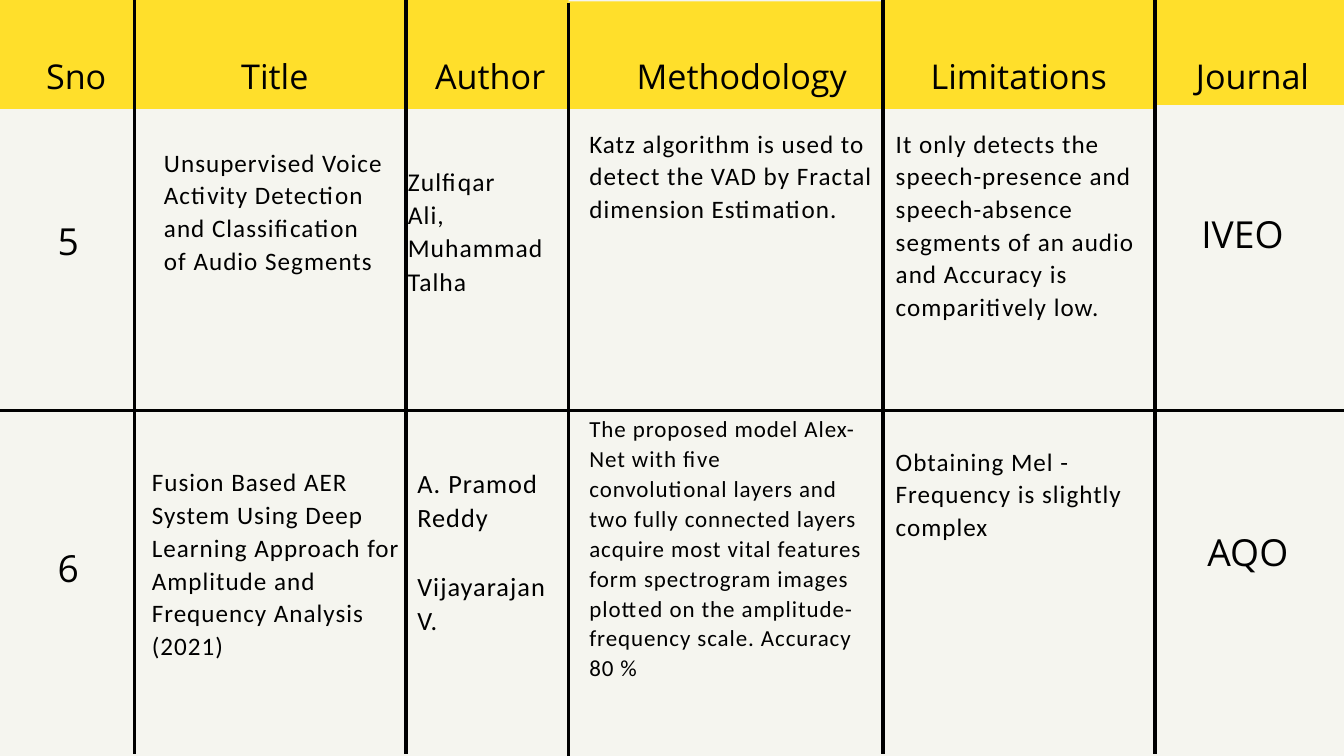
import dataclasses

import pptx
import pptx.dml.color
import pptx.enum.shapes
import pptx.enum.text
import pptx.oxml
import pptx.oxml.ns
import pptx.util

COLOURS = {"paper": "F5F5EF", "band": "FFDF2B", "ink": "000000"}
WIDTH, HEIGHT = 20, 11.25

# Grid of the literature table, in inches
COLUMN_EDGES = [0, 2, 6.04, 8.46, 13.14, 17.19, WIDTH]
SNO, TITLE, AUTHOR, METHODOLOGY, LIMITATIONS, JOURNAL = range(6)
HEADER_BOTTOM, ROW_RULE = 1.62, 6.11
ROW_TOPS = [0, HEADER_BOTTOM, ROW_RULE]
HEADER, FIRST, SECOND = range(3)


@dataclasses.dataclass(frozen=True)
class Style:
    font: str
    size: float
    line_spacing: float
    centred: bool = False
    tracking: float = 0


@dataclasses.dataclass(frozen=True)
class Entry:
    """A text with its inset from the top left corner of a grid cell."""
    column: int
    row: int
    inset_x: float
    inset_y: float
    width: float
    height: float
    style: Style
    text: str
    paragraph_gap: float = 0


HEADING = Style("Open Sans", 36.6, 51.2, centred=True)
LABEL = Style("Open Sans", 39.9, 55.9, centred=True)
BODY = Style("Calibri", 26.9, 35, tracking=1.1)
SMALL_BODY = Style("Calibri", 24.6, 32, tracking=1)
FIRST_AUTHORS = Style("Calibri", 27.4, 35.6, tracking=1.1)
SECOND_AUTHORS = Style("Calibri", 28.2, 36.7, tracking=1.1)

HEADINGS = [  # text, inset from the column's left edge, width
    ("Sno", 0.65, 0.97), ("Title", 1.4, 1.38), ("Author", 0.28, 1.95),
    ("Methodology", 0.81, 3.54), ("Limitations", 0.51, 3.02), ("Journal", 0.5, 1.9),
]

ENTRIES = [
    Entry(column, HEADER, inset, 0.72, width, 0.68, HEADING, text)
    for column, (text, inset, width) in enumerate(HEADINGS)
] + [
    # Paper 5
    Entry(SNO, FIRST, 0.65, 1.52, 0.73, 0.75, LABEL, "5"),
    Entry(TITLE, FIRST, 0.44, 0.53, 3.51, 3.82, BODY,
          "Unsupervised Voice Activity Detection and Classification\nof Audio Segments"),
    Entry(AUTHOR, FIRST, 0.03, 0.81, 2.44, 1.94, FIRST_AUTHORS,
          "Zulfiqar\nAli, Muhammad Talha"),
    Entry(METHODOLOGY, FIRST, 0.31, 0.25, 4.34, 2.86, BODY,
          "Katz algorithm is used to detect the VAD by Fractal dimension Estimation."),
    Entry(LIMITATIONS, FIRST, 0.19, 0.25, 3.84, 4.3, BODY,
          "It only detects the speech-presence and speech-absence segments of an audio "
          "and Accuracy is comparitively low."),
    Entry(JOURNAL, FIRST, 0.42, 1.41, 1.76, 0.75, LABEL, "IVEO"),
    # Paper 6
    Entry(SNO, SECOND, 0.65, 1.9, 0.73, 0.75, LABEL, "6"),
    Entry(TITLE, SECOND, 0.26, 0.8, 3.84, 3.82, BODY,
          "Fusion Based AER System Using Deep Learning Approach for Amplitude and "
          "Frequency Analysis (2021)"),
    Entry(AUTHOR, SECOND, 0.17, 0.8, 2.25, 4.02, SECOND_AUTHORS,
          "A. Pramod Reddy\nVijayarajan V.", paragraph_gap=36.7),
    Entry(METHODOLOGY, SECOND, 0.31, 0.03, 4.08, 4.78, SMALL_BODY,
          "The proposed model Alex-Net with five convolutional layers and two fully "
          "connected layers acquire most vital features form spectrogram images plotted "
          "on the amplitude-frequency scale. Accuracy 80 %"),
    Entry(LIMITATIONS, SECOND, 0.19, 0.49, 3.84, 1.42, BODY,
          "Obtaining Mel - Frequency is slightly complex"),
    Entry(JOURNAL, SECOND, 0.5, 1.65, 1.76, 0.74, LABEL, "AQO"),
]


def colour(name: str) -> pptx.dml.color.RGBColor:
    return pptx.dml.color.RGBColor.from_string(COLOURS[name])


def draw_band(slide, column: int) -> None:
    left, right = COLUMN_EDGES[column:column + 2]
    top = 0.02 if column == METHODOLOGY else 0
    bottom = 1.56 if column == JOURNAL else HEADER_BOTTOM
    shape = slide.shapes.add_shape(
        pptx.enum.shapes.MSO_SHAPE.RECTANGLE,
        *map(pptx.util.Inches, (left, top, right - left, bottom - top)))
    shape.shadow.inherit = False
    shape.fill.solid()
    shape.fill.fore_color.rgb = colour("band")
    shape.line.fill.background()


def draw_rule(slide, x1: float, y1: float, x2: float, y2: float) -> None:
    connector = slide.shapes.add_connector(
        pptx.enum.shapes.MSO_CONNECTOR.STRAIGHT, *map(pptx.util.Inches, (x1, y1, x2, y2)))
    connector.line.color.rgb = colour("ink")
    connector.line.width = pptx.util.Pt(3.75)
    properties = connector._element.spPr
    properties.append(pptx.oxml.parse_xml(
        f"<a:effectLst {pptx.oxml.ns.nsdecls('a')}/>"))


def draw_entry(slide, entry: Entry) -> None:
    style = entry.style
    left = COLUMN_EDGES[entry.column] + entry.inset_x
    top = ROW_TOPS[entry.row] + entry.inset_y
    shape = slide.shapes.add_textbox(
        *map(pptx.util.Inches, (left, top, entry.width, entry.height)))
    text_frame = shape.text_frame
    text_frame.margin_left = text_frame.margin_right = 0
    text_frame.margin_top = text_frame.margin_bottom = 0
    text_frame.word_wrap = True
    text_frame.auto_size = pptx.enum.text.MSO_AUTO_SIZE.SHAPE_TO_FIT_TEXT
    text_frame.text = entry.text
    for index, paragraph in enumerate(text_frame.paragraphs):
        paragraph.line_spacing = pptx.util.Pt(style.line_spacing)
        if index and entry.paragraph_gap:
            paragraph.space_before = pptx.util.Pt(entry.paragraph_gap)
        if style.centred:
            paragraph.alignment = pptx.enum.text.PP_ALIGN.CENTER
        for run in paragraph.runs:
            run.font.name = style.font
            run.font.size = pptx.util.Pt(style.size)
            run.font.color.rgb = colour("ink")
            if style.tracking:
                run.font._element.set("spc", str(round(style.tracking * 100)))


def main() -> None:
    presentation = pptx.Presentation()
    presentation.slide_width = pptx.util.Inches(WIDTH)
    presentation.slide_height = pptx.util.Inches(HEIGHT)
    slide = presentation.slides.add_slide(presentation.slide_layouts[6])
    slide.background.fill.solid()
    slide.background.fill.fore_color.rgb = colour("paper")

    # Header bands
    for column in range(len(HEADINGS)):
        draw_band(slide, column)

    # Column rules and the rule between the two papers
    for column, x in enumerate(COLUMN_EDGES[1:-1], start=1):
        top = 0.04 if column == METHODOLOGY else -0.03
        draw_rule(slide, x, top + HEIGHT, x, top)
    draw_rule(slide, -0.31, ROW_RULE, WIDTH + 0.31, ROW_RULE)

    # Headings and cell texts
    for entry in ENTRIES:
        draw_entry(slide, entry)

    presentation.save("out.pptx")


if __name__ == "__main__":
    main()
